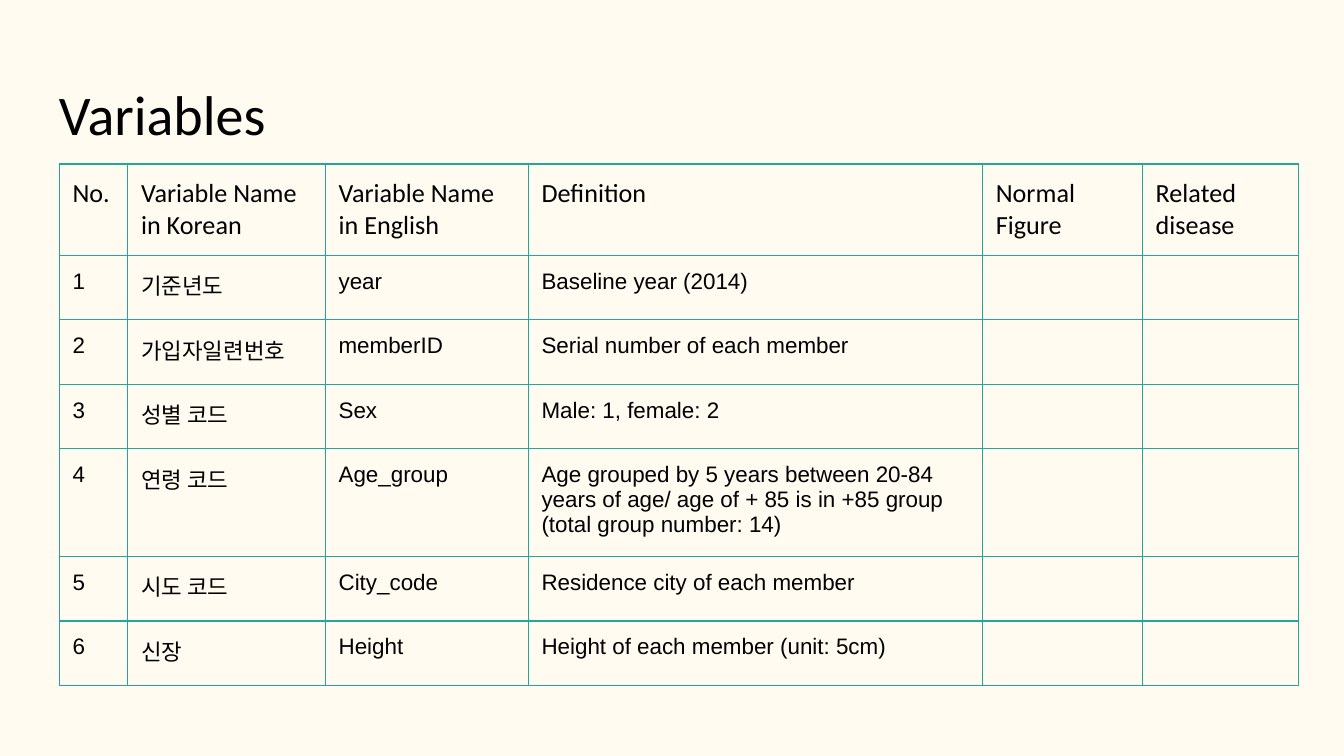
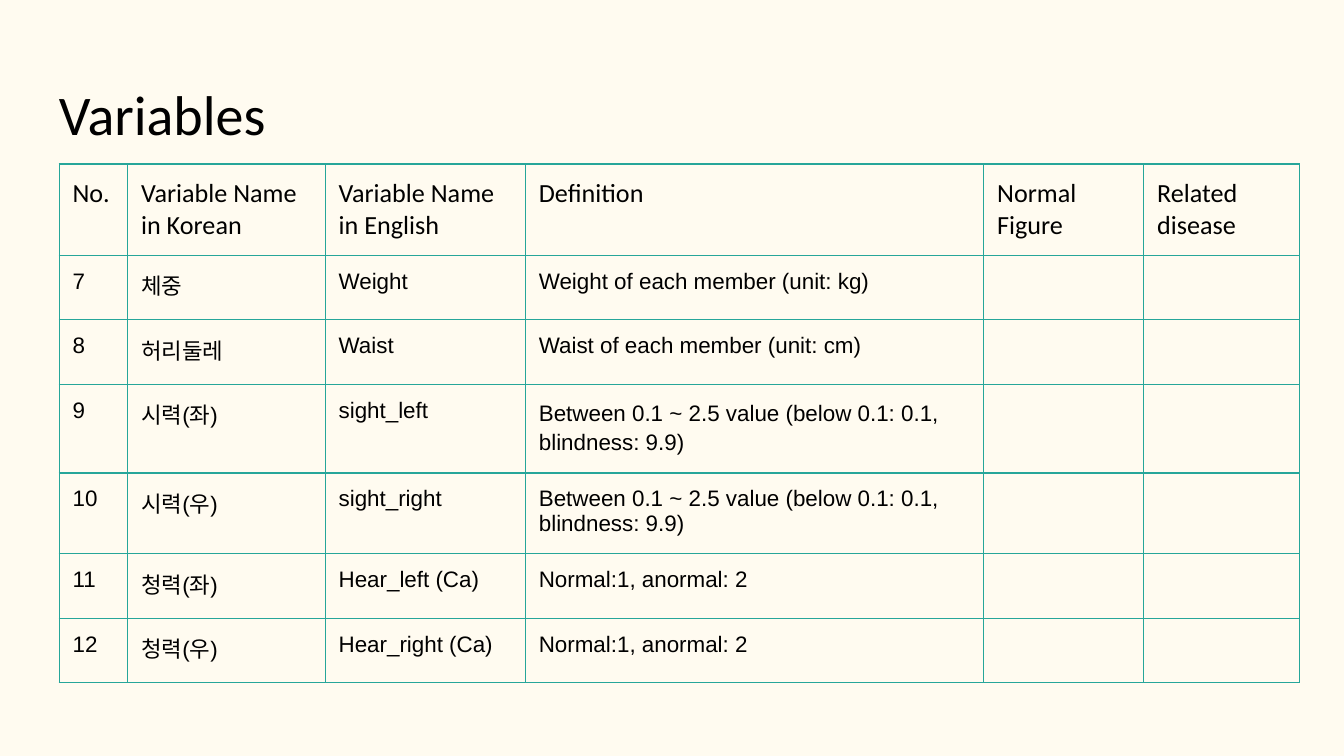
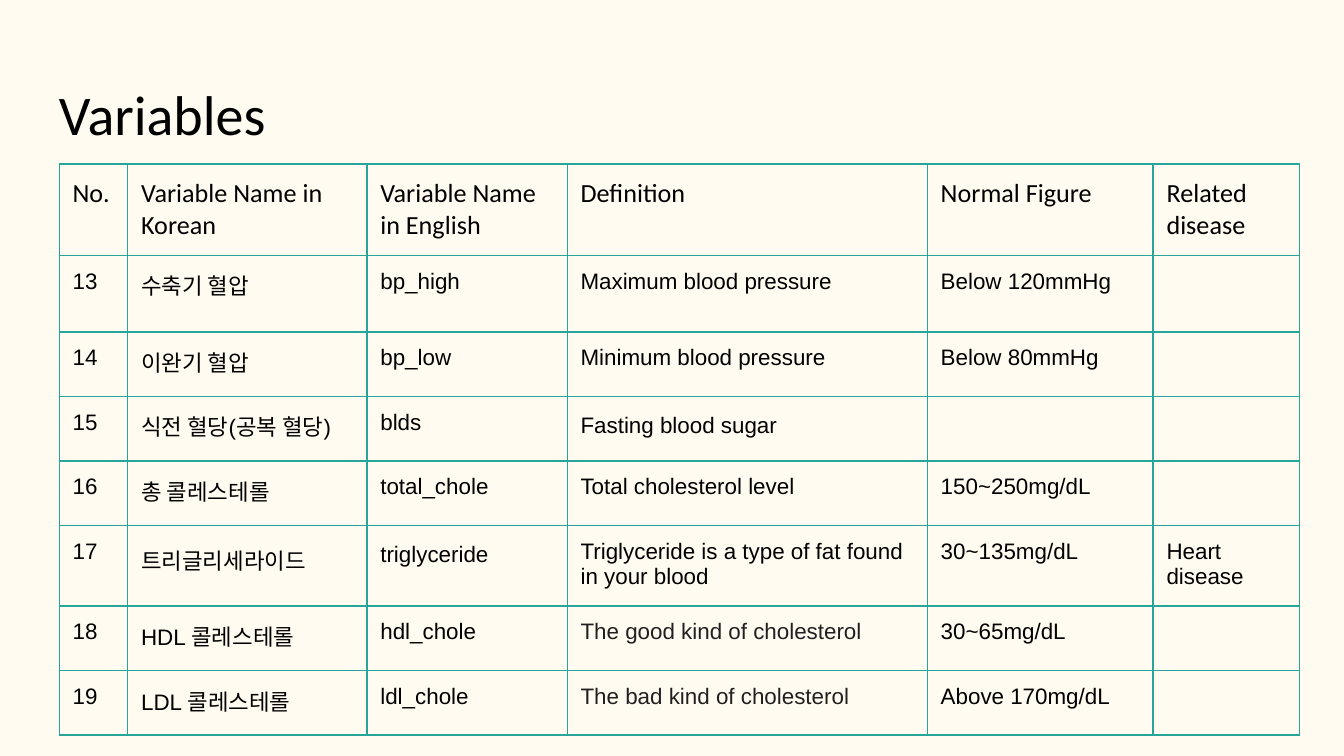
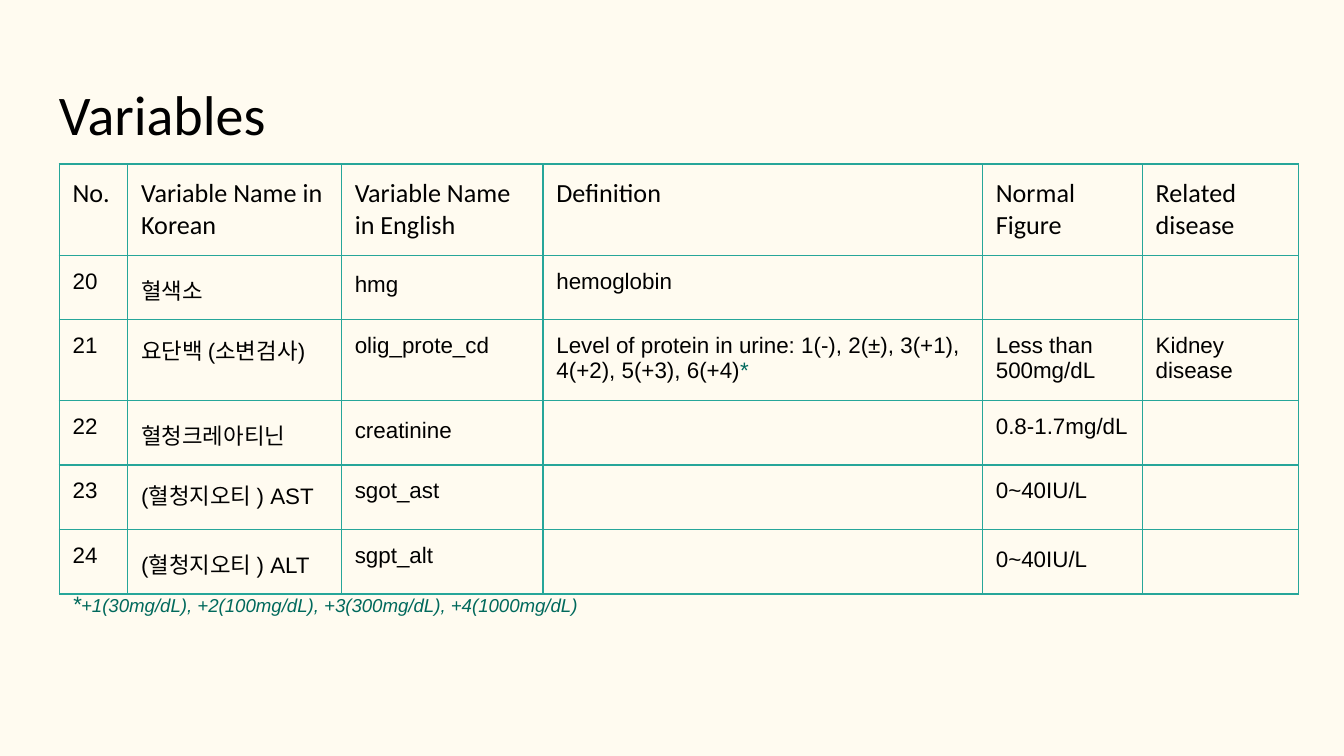
from collections import namedtuple

from lxml import etree
from pptx import Presentation
from pptx import util as u
from pptx.dml import color
from pptx.enum import text as t
from pptx.oxml import ns

CREAM, TEAL, GREEN = "FFFBF0", "26A69A", "00695C"
BLACK, DARK = "000000", "231F20"
HEAD = ["No.", "Variable Name in Korean", "Variable Name in English",
        "Definition", "Normal Figure", "Related disease"]
LEFT, TOP = 0.44, 1.22
HEAD_H, ROW_H, TWO_H, LOOSE_H, THREE_H = 0.68, 0.48, 0.57, 0.63, 0.76

Cell = namedtuple("Cell", "text gap ink mark", defaults=(None, BLACK, ""))

SIGHT = "Between 0.1 ~ 2.5 value (below 0.1: 0.1, blindness: 9.9)"
HEARING = "Normal:1, anormal: 2"


def loose(text):
    return Cell(text, gap=1.15)


BASIC = [
    ["기준년도", "year", "Baseline year (2014)"],
    ["가입자일련번호", "memberID", "Serial number of each member"],
    ["성별 코드", "Sex", "Male: 1, female: 2"],
    ["연령 코드", "Age_group",
     "Age grouped by 5 years between 20-84 years of age/ age of + 85 "
     "is in +85 group (total group number: 14)"],
    ["시도 코드", "City_code", "Residence city of each member"],
    ["신장", "Height", "Height of each member (unit: 5cm)"],
]
BODY = [
    ["체중", "Weight", "Weight of each member (unit: kg)"],
    ["허리둘레", "Waist", "Waist of each member (unit: cm)"],
    ["시력(좌)", "sight_left", loose(SIGHT)],
    ["시력(우)", "sight_right", SIGHT],
    ["청력(좌)", "Hear_left (Ca)", HEARING],
    ["청력(우)", "Hear_right (Ca)", HEARING],
]
BLOOD = [
    ["수축기 혈압", "bp_high", "Maximum blood pressure", "Below 120mmHg"],
    ["이완기 혈압", "bp_low", "Minimum blood pressure", "Below 80mmHg"],
    ["식전 혈당(공복 혈당)", "blds", loose("Fasting blood sugar")],
    ["총 콜레스테롤", "total_chole", "Total cholesterol level", "150~250mg/dL"],
    [loose("트리글리세라이드"), loose("triglyceride"),
     "Triglyceride is a type of fat found in your blood",
     "30~135mg/dL", "Heart disease"],
    ["HDL 콜레스테롤", "hdl_chole",
     Cell("The good kind of cholesterol", ink=DARK), "30~65mg/dL"],
    ["LDL 콜레스테롤", "ldl_chole",
     Cell("The bad kind of cholesterol", ink=DARK), "Above 170mg/dL"],
]
ORGANS = [
    [loose("혈색소"), loose("hmg"), "hemoglobin"],
    ["요단백 (소변검사)", "olig_prote_cd",
     Cell("Level of protein in urine: 1(-), 2(±), 3(+1), "
          "4(+2), 5(+3), 6(+4)", mark="*"),
     "Less than 500mg/dL", "Kidney disease"],
    [loose("혈청크레아티닌"), loose("creatinine"), "", "0.8-1.7mg/dL"],
    ["(혈청지오티 ) AST", "sgot_ast", "", "0~40IU/L"],
    [loose("(혈청지오티 ) ALT"), "sgpt_alt", "", loose("0~40IU/L")],
]


def rgb(code):
    return color.RGBColor.from_string(code)


def add_run(para, text, size, face="Arial", ink=BLACK, slant=None):
    run = para.add_run()
    run.text = text
    font = run.font
    font.size, font.name, font.italic = u.Pt(size), face, slant
    font.color.rgb = rgb(ink)


def pad(box):
    box.margin_left = box.margin_right = u.Inches(0.1)
    box.margin_top = box.margin_bottom = u.Inches(0.1)


def add_text(slide, x, y, w, h):
    frame = slide.shapes.add_textbox(*map(u.Inches, (x, y, w, h))).text_frame
    frame.word_wrap = True
    frame.vertical_anchor = t.MSO_ANCHOR.TOP
    pad(frame)
    return frame.paragraphs[0]


def add_edges(cell):
    props = cell._tc.get_or_add_tcPr()
    for at, side in enumerate(("lnL", "lnR", "lnT", "lnB")):
        line = etree.Element(ns.qn("a:" + side), w=str(u.Pt(0.75)))
        fill = etree.SubElement(line, ns.qn("a:solidFill"))
        etree.SubElement(fill, ns.qn("a:srgbClr"), val=TEAL)
        props.insert(at, line)


def fill_cell(cell, item, size, face):
    pad(cell)
    cell.fill.background()
    add_edges(cell)
    if not isinstance(item, Cell):
        item = Cell(item)
    para = cell.text_frame.paragraphs[0]
    if item.gap:
        para.line_spacing = item.gap
    if item.text:
        add_run(para, item.text, size, face, item.ink)
    else:
        etree.SubElement(para._p, ns.qn("a:endParaRPr"), sz=str(size * 100))
    if item.mark:
        add_run(para, item.mark, size, face, GREEN)


def add_grid(slide, first, rows, widths, tall):
    heights = [HEAD_H] + [tall.get(n, ROW_H)
                          for n in range(first, first + len(rows))]
    box = map(u.Inches, (LEFT, TOP, sum(widths), sum(heights)))
    grid = slide.shapes.add_table(len(heights), len(widths), *box).table
    grid.first_row = grid.horz_banding = False
    for col, width in zip(grid.columns, widths):
        col.width = u.Inches(width)
    lines = [HEAD] + [[str(n)] + row for n, row in enumerate(rows, first)]
    for r, line in enumerate(lines):
        grid.rows[r].height = u.Inches(heights[r])
        size, face = (12, "Arial") if r else (14, "Calibri")
        for c in range(len(widths)):
            item = line[c] if c < len(line) else ""
            fill_cell(grid.cell(r, c), item, size, face)


def add_page(deck, first, rows, widths, tall):
    slide = deck.slides.add_slide(deck.slide_layouts[6])
    add_run(add_text(slide, 0.34, 0.49, 9.32, 0.67), "Variables", 30, "Calibri")
    add_grid(slide, first, rows, widths, tall)
    return slide


def main():
    deck = Presentation()
    deck.slide_width, deck.slide_height = u.Inches(10), u.Inches(10 * 9 / 16)
    back = deck.slide_master.background.fill
    back.solid()
    back.fore_color.rgb = rgb(CREAM)

    add_page(deck, 1, BASIC, [0.51, 1.47, 1.51, 3.38, 1.19, 1.16],
             {4: THREE_H})
    add_page(deck, 7, BODY, [0.51, 1.47, 1.49, 3.41, 1.19, 1.16],
             {9: LOOSE_H, 10: TWO_H})
    add_page(deck, 13, BLOOD, [0.51, 1.78, 1.49, 2.68, 1.68, 1.09],
             {13: TWO_H, 17: TWO_H})
    last = add_page(deck, 20, ORGANS, [0.51, 1.59, 1.5, 3.27, 1.19, 1.16],
                    {21: TWO_H})

    note = add_text(last, LEFT, 4.29, 4.95, 0.42)
    add_run(note, "*", 12, ink=GREEN, slant=True)
    add_run(note, "+1(30mg/dL), +2(100mg/dL), +3(300mg/dL), +4(1000mg/dL)",
            10, ink=GREEN, slant=True)
    deck.save("out.pptx")


if __name__ == "__main__":
    main()
